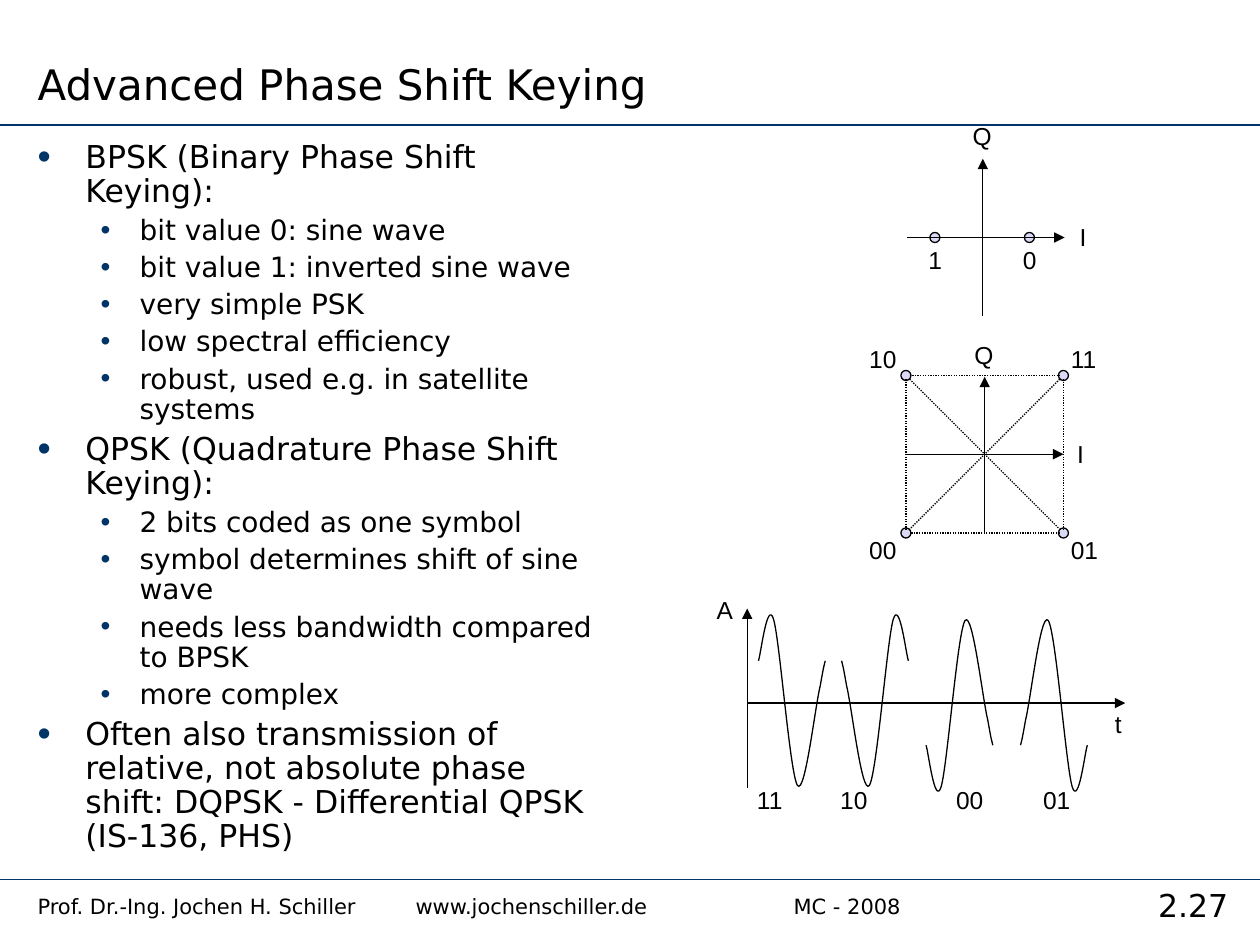
import pptx
import pptx.util
import pptx.dml.color
import pptx.enum.dml
import pptx.enum.shapes
import pptx.enum.text
import pptx.oxml
import pptx.oxml.ns
from pptx.util import Inches

COLORS = {"rule": "003366", "ink": "000000", "point": "DADAF6"}
HEADING_FONT = "DejaVu Sans"
LABEL_FONT = "Arial"
LABEL_HEIGHT = 0.34
POINT_SIZE = 0.08
WAVE_WIDTH = 0.53
WAVE = [
    (0, -0.335), (0.02, -0.395), (0.07, -0.825), (0.12, -0.665),
    (0.17, -0.495), (0.25, 0.565), (0.31, 0.655), (0.37, 0.735),
    (0.45, 0.025), (0.49, -0.135), (0.52, -0.305), (0.52, -0.295),
    (0.53, -0.335),
]
TOPICS = [
    ("BPSK (Binary Phase Shift Keying):", [
        "bit value 0: sine wave",
        "bit value 1: inverted sine wave",
        "very simple PSK",
        "low spectral efficiency",
        "robust, used e.g. in satellite systems",
    ]),
    ("QPSK (Quadrature Phase Shift Keying):", [
        "2 bits coded as one symbol",
        "symbol determines shift of sine wave",
        "needs less bandwidth compared to BPSK",
        "more complex",
    ]),
    ("Often also transmission of relative, not absolute phase shift: "
     "DQPSK - Differential QPSK (IS-136, PHS)", []),
]


def color(name):
    return pptx.dml.color.RGBColor.from_string(COLORS[name])


def add_xml(parent, tag, **attributes):
    child = pptx.oxml.parse_xml(f"<a:{tag} {pptx.oxml.ns.nsdecls('a')}/>")
    for name, value in attributes.items():
        child.set(name, str(value))
    parent.append(child)
    return child


def add_frame(shapes, left, top, width, height, wrap=True):
    frame = shapes.add_textbox(
        Inches(left), Inches(top), Inches(width), Inches(height)).text_frame
    frame.word_wrap = wrap
    return frame


def add_run(paragraph, text, size, font=HEADING_FONT):
    run = paragraph.add_run()
    run.text = text
    run.font.size = pptx.util.Pt(size)
    run.font.name = font
    run.font.color.rgb = color("ink")


def add_label(shapes, text, left, top, width=0.43):
    frame = add_frame(shapes, left, top, width, LABEL_HEIGHT, False)
    frame.auto_size = pptx.enum.text.MSO_AUTO_SIZE.SHAPE_TO_FIT_TEXT
    add_run(frame.paragraphs[0], text, 14, LABEL_FONT)


def add_line(shapes, start, end, ink="ink", width=0.75, dotted=False, arrow=False):
    line = shapes.add_connector(
        pptx.enum.shapes.MSO_CONNECTOR.STRAIGHT,
        *(Inches(value) for value in (*start, *end)))
    line.line.color.rgb = color(ink)
    line.line.width = pptx.util.Pt(width)
    if dotted:
        line.line.dash_style = pptx.enum.dml.MSO_LINE.ROUND_DOT
    if arrow:
        add_xml(line.line._get_or_add_ln(), "tailEnd", type="triangle")
    add_xml(line._element.spPr, "effectLst")


def add_point(shapes, x, y):
    point = shapes.add_shape(
        pptx.enum.shapes.MSO_SHAPE.FLOWCHART_CONNECTOR,
        Inches(x - POINT_SIZE / 2), Inches(y - POINT_SIZE / 2),
        Inches(POINT_SIZE), Inches(POINT_SIZE))
    point.shadow.inherit = False
    point.fill.solid()
    point.fill.fore_color.rgb = color("point")
    point.line.color.rgb = color("ink")
    point.line.width = pptx.util.Pt(0.75)


def add_wave(shapes, left, axis_y, mirrored, inverted):
    points = [
        (Inches(left + (WAVE_WIDTH - x if mirrored else x)),
         Inches(axis_y + (-y if inverted else y)))
        for x, y in WAVE]
    builder = shapes.build_freeform(*points[0])
    builder.add_line_segments(points[1:], close=False)
    wave = builder.convert_to_shape()
    segments = wave._element.findall(".//" + pptx.oxml.ns.qn("a:lnTo"))
    outline = segments[0].getparent()
    for first in range(0, len(segments), 3):
        curve = add_xml(outline, "cubicBezTo")
        for segment in segments[first:first + 3]:
            curve.append(segment[0])
            outline.remove(segment)
    wave.shadow.inherit = False
    wave.fill.background()
    wave.line.color.rgb = color("ink")
    wave.line.width = pptx.util.Pt(0.75)


def add_header(shapes, left, top, width, height):
    add_line(shapes, (0, 0.99), (10, 0.99), "rule", 1)
    frame = add_frame(shapes, left, top, width, height)
    frame.vertical_anchor = pptx.enum.text.MSO_ANCHOR.BOTTOM
    add_run(frame.paragraphs[0], "Advanced Phase Shift Keying", 24)


def add_footer(shapes, left, top, width, height):
    add_line(shapes, (0, 6.98), (10, 6.98), "rule", 1)
    credits = add_frame(shapes, left, top, width, height).paragraphs[0]
    stops = add_xml(credits._p.get_or_add_pPr(), "tabLst")
    for position in (3, 5, 6):
        add_xml(stops, "tab", pos=Inches(position), algn="l")
    add_run(credits, "Prof. Dr.-Ing. Jochen H. Schiller\t"
            "www.jochenschiller.de\t\tMC - 2008", 12)
    number = add_frame(shapes, left + width, 6.98, 1.06, 0.44).paragraphs[0]
    number.alignment = pptx.enum.text.PP_ALIGN.CENTER
    add_run(number, "2.27", 18)


def add_bullet(paragraph, text, level):
    margin, indent, size, gap, scale = [
        (0.38, -0.38, 18, 4.5, 120), (0.81, -0.31, 16, 4, 100)][level]
    paragraph.level = level
    properties = paragraph._p.get_or_add_pPr()
    properties.set("marL", str(Inches(margin)))
    properties.set("indent", str(Inches(indent)))
    add_xml(add_xml(properties, "buClr"), "srgbClr", val=COLORS["rule"])
    add_xml(properties, "buSzPct", val=scale * 1000)
    add_xml(properties, "buFont", typeface=LABEL_FONT)
    add_xml(properties, "buChar", char="•")
    paragraph.line_spacing = 0.9
    paragraph.space_before = pptx.util.Pt(gap)
    add_run(paragraph, text, size)


def add_topics(shapes, left, top, width, height):
    frame = add_frame(shapes, left, top, width, height)
    entries = [entry for topic, details in TOPICS
               for entry in [(topic, 0)] + [(detail, 1) for detail in details]]
    for index, (text, level) in enumerate(entries):
        paragraph = frame.add_paragraph() if index else frame.paragraphs[0]
        add_bullet(paragraph, text, level)
    frame.paragraphs[0].space_before = pptx.util.Pt(0)


def add_bpsk(slide_shapes, left, top, size):
    shapes = slide_shapes.add_group_shape().shapes
    center_x, axis_y = left + 0.6, top + size / 2
    for bit, x in (("0", left + 0.97), ("1", left + 0.22)):
        add_point(shapes, x, axis_y)
        add_label(shapes, bit, x - 0.15, axis_y + 0.01, 0.31)
    add_label(shapes, "Q", center_x - 0.18, top - 0.35, 0.35)
    add_label(shapes, "I", left + size + 0.02, axis_y - 0.17, 0.25)
    add_line(shapes, (center_x, top + size), (center_x, top), arrow=True)
    add_line(shapes, (left, axis_y), (left + size, axis_y), arrow=True)


def add_qpsk(slide_shapes, left, top, size):
    shapes = slide_shapes.add_group_shape().shapes
    right, bottom = left + size, top + size
    center_x, center_y = left + size / 2, top + size / 2
    corners = [(left, top, "10"), (right, top, "11"),
               (right, bottom, "01"), (left, bottom, "00")]
    for x, y, bits in corners:
        add_point(shapes, x, y)
        add_label(shapes, bits, x - (0.39 if x == left else 0.04),
                  y - (0.3 if y == top else 0.03))
    for index, (x1, y1, _) in enumerate(corners):
        for x2, y2, _ in corners[index + 1:]:
            trim_x = 0.03 * ((x2 > x1) - (x2 < x1))
            trim_y = 0.03 * ((y2 > y1) - (y2 < y1))
            add_line(shapes, (x1 + trim_x, y1 + trim_y),
                     (x2 - trim_x, y2 - trim_y), dotted=True)
    add_label(shapes, "Q", center_x - 0.18, top - 0.33, 0.35)
    add_label(shapes, "I", right + 0.01, center_y - 0.17, 0.25)
    add_line(shapes, (center_x, bottom), (center_x, top + 0.01), arrow=True)
    add_line(shapes, (left, center_y), (right, center_y), arrow=True)


def add_signal(shapes, left, top, width, height):
    axis_y = top + 0.75
    add_line(shapes, (left, top + height), (left, top), arrow=True)
    add_line(shapes, (left, axis_y), (left + width, axis_y), arrow=True)
    symbols = [("11", 0.09, -0.02, False, False), ("10", 0.75, 0.64, True, False),
               ("00", 1.42, 1.56, False, True), ("01", 2.17, 2.25, True, True)]
    for bits, wave_x, label_x, mirrored, inverted in symbols:
        add_wave(shapes, left + wave_x, axis_y, mirrored, inverted)
        add_label(shapes, bits, left + label_x, top + height - 0.07)
    add_label(shapes, "A", left - 0.34, top - 0.16, 0.33)
    add_label(shapes, "t", left + width - 0.18, axis_y, 0.25)


def main():
    deck = pptx.Presentation()
    deck.slide_width, deck.slide_height = Inches(10), Inches(7.5)
    shapes = deck.slides.add_slide(deck.slide_layouts[6]).shapes
    add_header(shapes, 0.2, 0, 6.61, 0.91)
    add_topics(shapes, 0.2, 1.07, 4.72, 5.85)
    add_signal(shapes, 5.93, 4.83, 3, 1.42)
    add_bpsk(shapes, 7.2, 1.26, 1.25)
    add_qpsk(shapes, 7.19, 2.98, 1.25)
    add_footer(shapes, 0.2, 7.04, 8.74, 0.33)
    deck.save("out.pptx")


if __name__ == "__main__":
    main()
